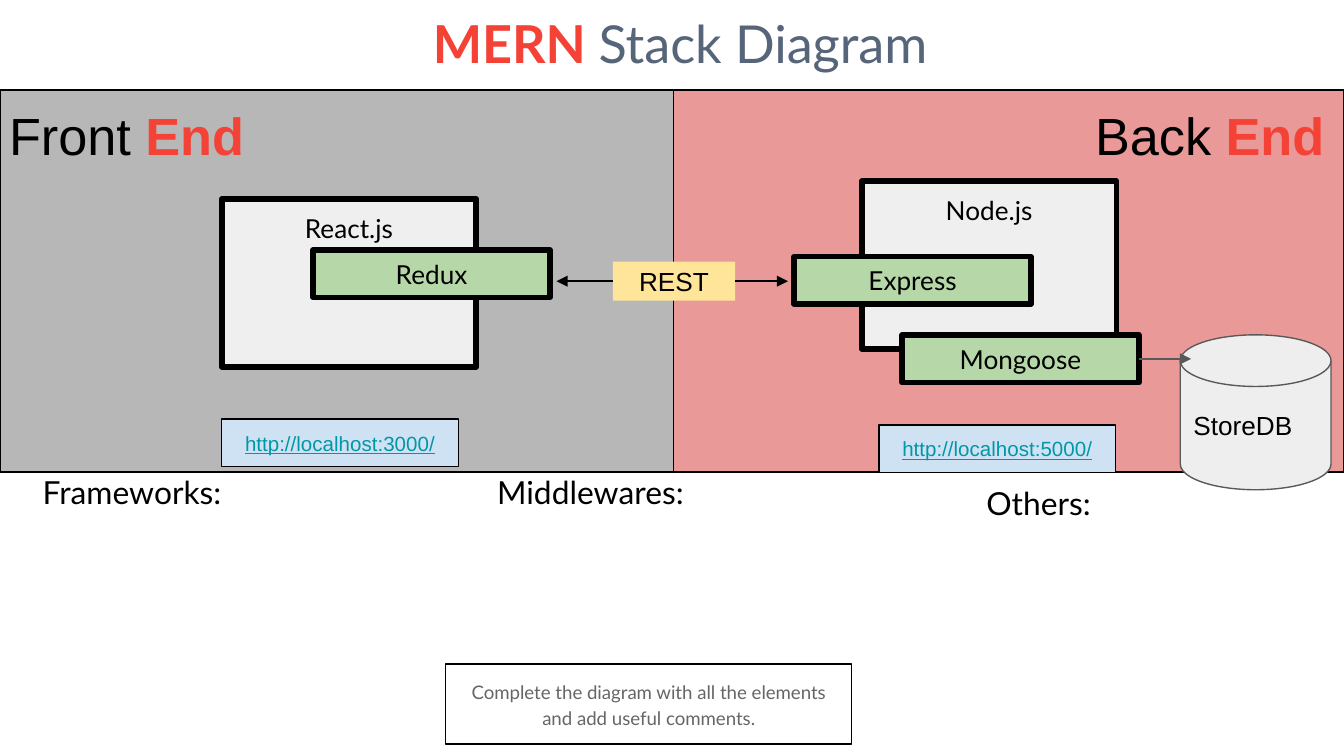
from collections import namedtuple

from lxml.etree import SubElement
from pptx import Presentation
from pptx.dml.color import RGBColor
from pptx.enum.shapes import MSO_CONNECTOR, MSO_SHAPE
from pptx.enum.text import MSO_ANCHOR, PP_ALIGN
from pptx.oxml.ns import qn
from pptx.util import Pt

BLACK = RGBColor(0x00, 0x00, 0x00)
WHITE = RGBColor(0xFF, 0xFF, 0xFF)
RED = RGBColor(0xF4, 0x43, 0x36)
SLATE = RGBColor(0x56, 0x65, 0x79)
TEXT_GRAY = RGBColor(0x66, 0x66, 0x66)
LINE_GRAY = RGBColor(0x59, 0x59, 0x59)
FRONT_GRAY = RGBColor(0xB7, 0xB7, 0xB7)
BACK_PINK = RGBColor(0xEA, 0x99, 0x99)
RUNTIME_GRAY = RGBColor(0xEF, 0xEF, 0xEF)
DISK_GRAY = RGBColor(0xEE, 0xEE, 0xEE)
GREEN = RGBColor(0xB6, 0xD7, 0xA8)
YELLOW = RGBColor(0xFF, 0xE5, 0x99)
PALE_BLUE = RGBColor(0xCF, 0xE2, 0xF3)
TEAL = RGBColor(0x00, 0x97, 0xA7)

Box = namedtuple("Box", "left top width height")
Span = namedtuple("Span", "text size font color bold underline", defaults=(BLACK, False, False))


def inside(box, left, top, width, height):
    """Return a box whose offset is measured from another box."""
    return Box(box.left + left, box.top + top, width, height)


def lengths(box):
    """Return the four sides of a box as point lengths."""
    return [Pt(value) for value in box]


def write(shape, spans, align, anchor, spacing=None):
    """Fill a shape's text frame with one paragraph of styled runs."""
    frame = shape.text_frame
    frame.word_wrap = True
    frame.vertical_anchor = anchor
    frame.margin_left = frame.margin_right = Pt(7.2)
    frame.margin_top = frame.margin_bottom = Pt(7.2)
    para = frame.paragraphs[0]
    para.alignment = align
    if spacing:
        para.line_spacing = spacing
    for span in spans:
        run = para.add_run()
        run.text = span.text
        run.font.size = Pt(span.size)
        run.font.name = span.font
        run.font.color.rgb = span.color
        run.font.bold = span.bold
        run.font.underline = span.underline


def add_label(slide, box, spans, align=PP_ALIGN.LEFT, anchor=MSO_ANCHOR.TOP):
    """Add a text box."""
    write(slide.shapes.add_textbox(*lengths(box)), spans, align, anchor)


def add_block(slide, box, fill, line=BLACK, weight=0.75, spans=(), align=PP_ALIGN.CENTER,
              anchor=MSO_ANCHOR.MIDDLE, kind=MSO_SHAPE.RECTANGLE, spacing=None):
    """Add a filled shape with an optional outline and text."""
    shape = slide.shapes.add_shape(kind, *lengths(box))
    shape.shadow.inherit = False
    shape.fill.solid()
    shape.fill.fore_color.rgb = fill
    if line is None:
        shape.line.fill.background()
    else:
        shape.line.color.rgb = line
        shape.line.width = Pt(weight)
    if spans:
        write(shape, spans, align, anchor, spacing)
    return shape


def add_arrow(slide, source, side, end_x, end_y, color):
    """Add an arrow from the middle of a block's side to a point."""
    arrow = slide.shapes.add_connector(MSO_CONNECTOR.STRAIGHT, 0, 0, Pt(end_x), Pt(end_y))
    arrow.begin_connect(source, side)
    arrow.line.color.rgb = color
    arrow.line.width = Pt(0.75)
    SubElement(arrow.line._get_or_add_ln(), qn("a:tailEnd"), type="triangle")
    SubElement(arrow._element.spPr, qn("a:effectLst"))


def add_runtime(slide, box, name):
    """Add the large box of a runtime or view library."""
    add_block(slide, box, RUNTIME_GRAY, weight=3, spans=[Span(name, 14, "Lato")],
              anchor=MSO_ANCHOR.TOP)


def add_library(slide, box, left, top, name):
    """Add a green library block at an offset in a panel."""
    return add_block(slide, inside(box, left, top, 126.8, 25.4), GREEN, weight=3,
                     spans=[Span(name, 14, "Lato")])


def add_address(slide, box, left, top, address):
    """Add a local address block at an offset in a panel."""
    add_block(slide, inside(box, left, top, 126.8, 25.4), PALE_BLUE,
              spans=[Span(address, 11, "Arial", TEAL, underline=True)])


def add_heading(slide, box, side):
    """Add the two-coloured heading of a panel."""
    add_label(slide, box, [Span(side + " ", 28, "Arial"), Span("End", 28, "Arial", RED, True)])


def build_title(slide, box):
    """Place the slide title."""
    add_label(slide, box, [Span("MERN ", 28, "Lato", RED, True),
                           Span("Stack Diagram ", 28, "Lato", SLATE)], PP_ALIGN.CENTER)


def build_front_end(slide, box):
    """Place the front end panel and its parts."""
    add_block(slide, box, FRONT_GRAY)
    add_heading(slide, inside(box, -2.2, 0, 224.6, 53), "Front")
    add_runtime(slide, inside(box, 118.8, 58.3, 136.4, 90), "React.js")
    add_library(slide, box, 167.8, 85.8, "Redux")
    add_address(slide, box, 118.8, 176.4, "http://localhost:3000/")


def build_back_end(slide, box):
    """Place the back end panel, its parts and the database."""
    add_block(slide, box, BACK_PINK)
    add_heading(slide, inside(box, 218.9, 0, 140.4, 53), "Back")
    add_runtime(slide, inside(box, 101, 48.8, 136.4, 90), "Node.js")
    add_library(slide, box, 64.8, 89.3, "Express")
    mongoose = add_library(slide, box, 122.6, 131.4, "Mongoose")
    disk = inside(box, 271.6, 131.2, 80.8, 83)
    add_block(slide, disk, DISK_GRAY, LINE_GRAY, spans=[Span("StoreDB", 14, "Arial")],
              align=PP_ALIGN.LEFT, kind=MSO_SHAPE.FLOWCHART_MAGNETIC_DISK)
    add_arrow(slide, mongoose, 3, disk.left + 5.8, box.top + 144.1, LINE_GRAY)
    add_address(slide, box, 110.2, 179.5, "http://localhost:5000/")


def build_rest_link(slide, box):
    """Place the REST block with an arrow to each panel."""
    rest = add_block(slide, box, YELLOW, None, spans=[Span("REST", 14, "Arial")])
    middle = box.top + box.height / 2
    add_arrow(slide, rest, 1, box.left - 30.2, middle, BLACK)
    add_arrow(slide, rest, 3, box.left + box.width + 28.4, middle, BLACK)


def build_categories(slide, box):
    """Place the labels of the lists to complete."""
    for name, left, top in (("Frameworks:", 0, 0), ("Middlewares:", 243.4, 0),
                            ("Others:", 505.5, 6)):
        add_label(slide, inside(box, left, top, 126.8, box.height),
                  [Span(name, 17, "Lato")], anchor=MSO_ANCHOR.MIDDLE)


def build_task(slide, box):
    """Place the instruction box."""
    text = "Complete the diagram with all the elements and add useful comments."
    add_block(slide, box, WHITE, spans=[Span(text, 10, "Lato", TEXT_GRAY)],
              anchor=MSO_ANCHOR.TOP, spacing=1.15)


def main():
    """Build and save the deck."""
    deck = Presentation()
    deck.slide_width, deck.slide_height = Pt(720), Pt(405)
    slide = deck.slides.add_slide(deck.slide_layouts[6])
    build_front_end(slide, Box(0, 48.2, 360.7, 204.8))
    build_back_end(slide, Box(360.7, 48.2, 359.3, 204.8))
    build_rest_link(slide, Box(328.3, 140.2, 65.5, 20.9))
    build_categories(slide, Box(15.8, 252.9, 632.2, 20.9))
    build_task(slide, Box(238.8, 355.7, 217.4, 43))
    build_title(slide, Box(32.4, -1.4, 671, 36.7))
    deck.save("out.pptx")


if __name__ == "__main__":
    main()
